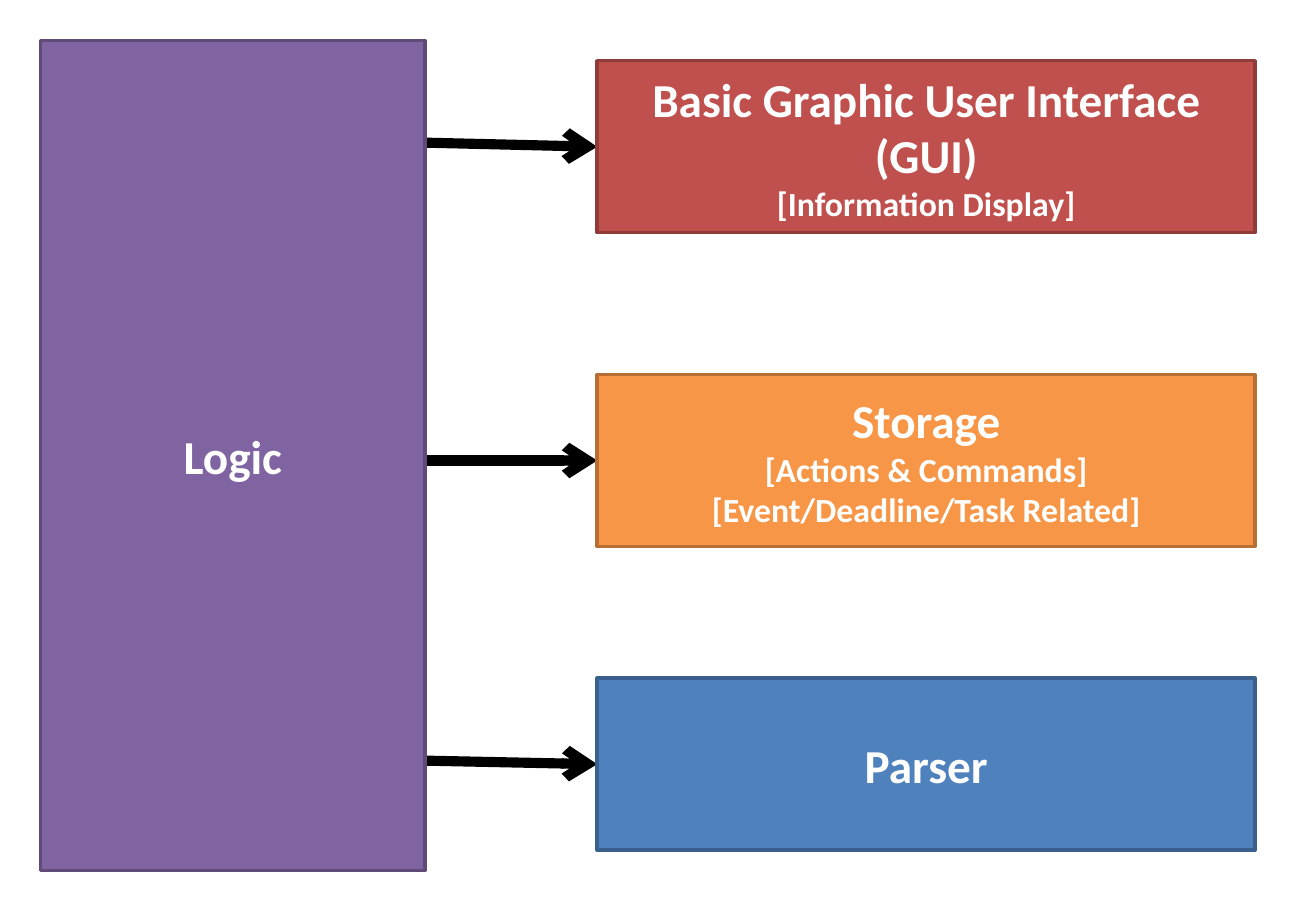
from lxml import etree
from pptx import Presentation
from pptx.dml.color import RGBColor
from pptx.enum.shapes import MSO_CONNECTOR, MSO_SHAPE
from pptx.enum.text import MSO_ANCHOR, PP_ALIGN
from pptx.oxml.ns import qn
from pptx.util import Pt

RECT = MSO_SHAPE.RECTANGLE
STRAIGHT = MSO_CONNECTOR.STRAIGHT
MIDDLE = MSO_ANCHOR.MIDDLE
CENTER = PP_ALIGN.CENTER

FONT = "Calibri"
TITLE_SIZE, DETAIL_SIZE = 28, 20
COLORS = {
    "white": "FFFFFF", "arrow": "000000",
    "logic": "8064A2", "logic_line": "5F4A78",
    "gui": "C0504D", "gui_line": "8E3B39",
    "storage": "F79646", "storage_line": "B76F34",
    "parser": "4F81BD", "parser_line": "3A5F8C",
}

# Component: colour name, top, arrow start x, arrow rise, title, details
COMPONENTS = [
    ("gui", 36, 228, 3, "Basic Graphic User Interface (GUI)",
     ["[Information Display]"]),
    ("storage", 222, 216, 0, "Storage",
     ["[Actions & Commands]", "[Event/Deadline/Task Related]"]),
    ("parser", 402, 210, 3, "Parser", []),
]
LEFT, WIDTH, HEIGHT = 354, 390, 102
LOGIC_BOX = (24, 24, 228, 492)


def rgb(name):
    return RGBColor.from_string(COLORS[name])


def add_block(s, box, color, title, details=()):
    """Filled rectangle with a bold title and smaller detail lines."""
    sp = s.shapes.add_shape(RECT, *(Pt(v) for v in box))
    sp.shadow.inherit = False
    sp.fill.solid()
    sp.fill.fore_color.rgb = rgb(color)
    sp.line.color.rgb = rgb(color + "_line")
    sp.line.width = Pt(2)
    tf = sp.text_frame
    tf.word_wrap = True
    tf.vertical_anchor = MIDDLE
    for i, text in enumerate([title, *details]):
        p = tf.add_paragraph() if i else tf.paragraphs[0]
        p.alignment = CENTER
        r = p.add_run()
        r.text = text
        r.font.name = FONT
        r.font.size = Pt(DETAIL_SIZE if i else TITLE_SIZE)
        r.font.bold = True
        r.font.color.rgb = rgb("white")


def add_arrow(s, x1, y1, x2, y2):
    """Thick black line with an open arrowhead at its end."""
    arrow = s.shapes.add_connector(STRAIGHT, Pt(x1), Pt(y1), Pt(x2), Pt(y2))
    arrow.line.color.rgb = rgb("arrow")
    arrow.line.width = Pt(6)
    etree.SubElement(arrow.line._get_or_add_ln(), qn("a:tailEnd"), type="arrow")
    etree.SubElement(arrow._element.spPr, qn("a:effectLst"))


def add_component(s, box, color, start_x, rise, title, details):
    """Component block and the arrow that reaches its left edge."""
    left, top, _, height = box
    middle = top + height / 2
    add_arrow(s, start_x, middle - rise, left, middle)
    add_block(s, box, color, title, details)


prs = Presentation()
prs.slide_width, prs.slide_height = Pt(780), Pt(540)
s = prs.slides.add_slide(prs.slide_layouts[6])

# Components on the right
for color, top, start_x, rise, title, details in COMPONENTS:
    add_component(s, (LEFT, top, WIDTH, HEIGHT), color, start_x, rise,
                  title, details)

# Logic column, in front of the arrow starts
add_block(s, LOGIC_BOX, "logic", "Logic")

prs.save("out.pptx")
